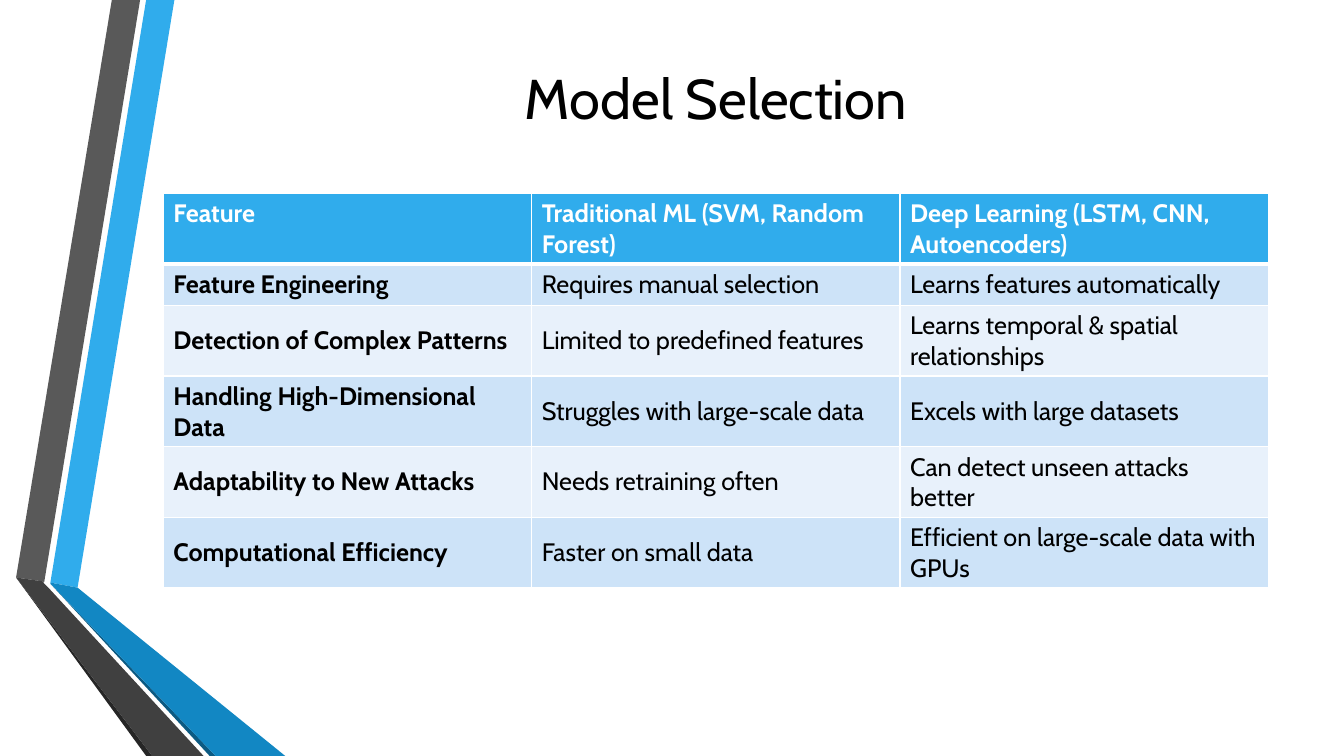
from lxml.etree import SubElement
from pptx import Presentation
from pptx.dml.color import RGBColor
from pptx.enum.text import MSO_ANCHOR, PP_ALIGN
from pptx.oxml.ns import qn
from pptx.util import Inches, Pt

WHITE = RGBColor(0xFF, 0xFF, 0xFF)
BLACK = RGBColor(0x00, 0x00, 0x00)
BRIGHT_BLUE = RGBColor(0x30, 0xAC, 0xEC)
MID_BLUE = RGBColor(0x12, 0x87, 0xC3)
DEEP_BLUE = RGBColor(0x0C, 0x5A, 0x82)
LIGHT_GREY = RGBColor(0x59, 0x59, 0x59)
MID_GREY = RGBColor(0x40, 0x40, 0x40)
DARK_GREY = RGBColor(0x26, 0x26, 0x26)
ODD_BAND = RGBColor(0xCD, 0xE3, 0xF8)
EVEN_BAND = RGBColor(0xE8, 0xF1, 0xFB)
FONT = "Cabin"

RIBBONS = [
    (BRIGHT_BLUE, [(0.5, 5.78), (0.77, 5.83), (1.73, 0), (1.45, 0)]),
    (LIGHT_GREY, [(1.39, 0), (1.11, 0), (0.16, 5.73), (0.44, 5.77)]),
    (DARK_GREY, [(0.16, 5.73), (1.45, 7.5), (1.51, 7.5)]),
    (DEEP_BLUE, [(0.5, 5.79), (2.08, 7.5), (2.14, 7.5)]),
    (MID_BLUE, [(0.5, 5.79), (2.14, 7.5), (2.83, 7.5), (0.77, 5.83), (0.5, 5.78)]),
    (MID_GREY, [(2.02, 7.5), (0.48, 5.83), (0.43, 5.78), (0.44, 5.77),
                (0.16, 5.73), (1.51, 7.5)]),
]

COMPARISON = [
    ("Feature", "Traditional ML (SVM, Random Forest)",
     "Deep Learning (LSTM, CNN, Autoencoders)"),
    ("Feature Engineering", "Requires manual selection",
     "Learns features automatically"),
    ("Detection of Complex Patterns", "Limited to predefined features",
     "Learns temporal & spatial relationships"),
    ("Handling High-Dimensional Data", "Struggles with large-scale data",
     "Excels with large datasets"),
    ("Adaptability to New Attacks", "Needs retraining often",
     "Can detect unseen attacks better"),
    ("Computational Efficiency", "Faster on small data",
     "Efficient on large-scale data with GPUs"),
]


def add_border(cell, side, points):
    """Add a white border; call before the cell's fill is set."""
    properties = cell._tc.get_or_add_tcPr()
    line = SubElement(properties, qn(f"a:{side}"), w=str(Pt(points)))
    fill = SubElement(line, qn("a:solidFill"))
    SubElement(fill, qn("a:srgbClr"), val=str(WHITE))


def style_text(paragraph, size, color, bold=False):
    font = paragraph.runs[0].font
    font.name = FONT
    font.size = Pt(size)
    font.bold = bold
    font.color.rgb = color


prs = Presentation()
prs.slide_width = Inches(13.33)
prs.slide_height = Inches(7.5)
slide = prs.slides.add_slide(prs.slide_layouts[6])

# Folded ribbons along the left edge
for color, corners in RIBBONS:
    points = [(Inches(x), Inches(y)) for x, y in corners]
    builder = slide.shapes.build_freeform(*points[0])
    builder.add_line_segments(points[1:], close=True)
    ribbon = builder.convert_to_shape()
    ribbon.shadow.inherit = False
    ribbon.fill.solid()
    ribbon.fill.fore_color.rgb = color
    ribbon.line.fill.background()

# Title
title = slide.shapes.add_textbox(Inches(1.62), Inches(0), Inches(10.96), Inches(1.92))
title_frame = title.text_frame
title_frame.word_wrap = True
title_frame.vertical_anchor = MSO_ANCHOR.MIDDLE
title_frame.text = "Model Selection"
title_frame.paragraphs[0].alignment = PP_ALIGN.CENTER
style_text(title_frame.paragraphs[0], 40, BLACK)

# Comparison table
table_frame = slide.shapes.add_table(
    len(COMPARISON), len(COMPARISON[0]),
    Inches(1.62), Inches(1.92), Inches(10.96), Inches(3.61))
table = table_frame.table
for row in table.rows:
    row.height = Inches(0.41)
table_frame.height = Inches(3.61)

for r, texts in enumerate(COMPARISON):
    is_header = r == 0
    if is_header:
        band = BRIGHT_BLUE
    else:
        band = ODD_BAND if r % 2 else EVEN_BAND
    for c, text in enumerate(texts):
        cell = table.cell(r, c)
        add_border(cell, "lnL", 1)
        add_border(cell, "lnR", 1)
        add_border(cell, "lnT", 3 if r == 1 else 1)
        add_border(cell, "lnB", 3 if is_header else 1)
        cell.fill.solid()
        cell.fill.fore_color.rgb = band
        cell.vertical_anchor = MSO_ANCHOR.MIDDLE
        cell.text_frame.text = text
        style_text(cell.text_frame.paragraphs[0], 18,
                   WHITE if is_header else BLACK, bold=is_header or c == 0)
table.cell(0, 0).vertical_anchor = MSO_ANCHOR.TOP

prs.save("out.pptx")
